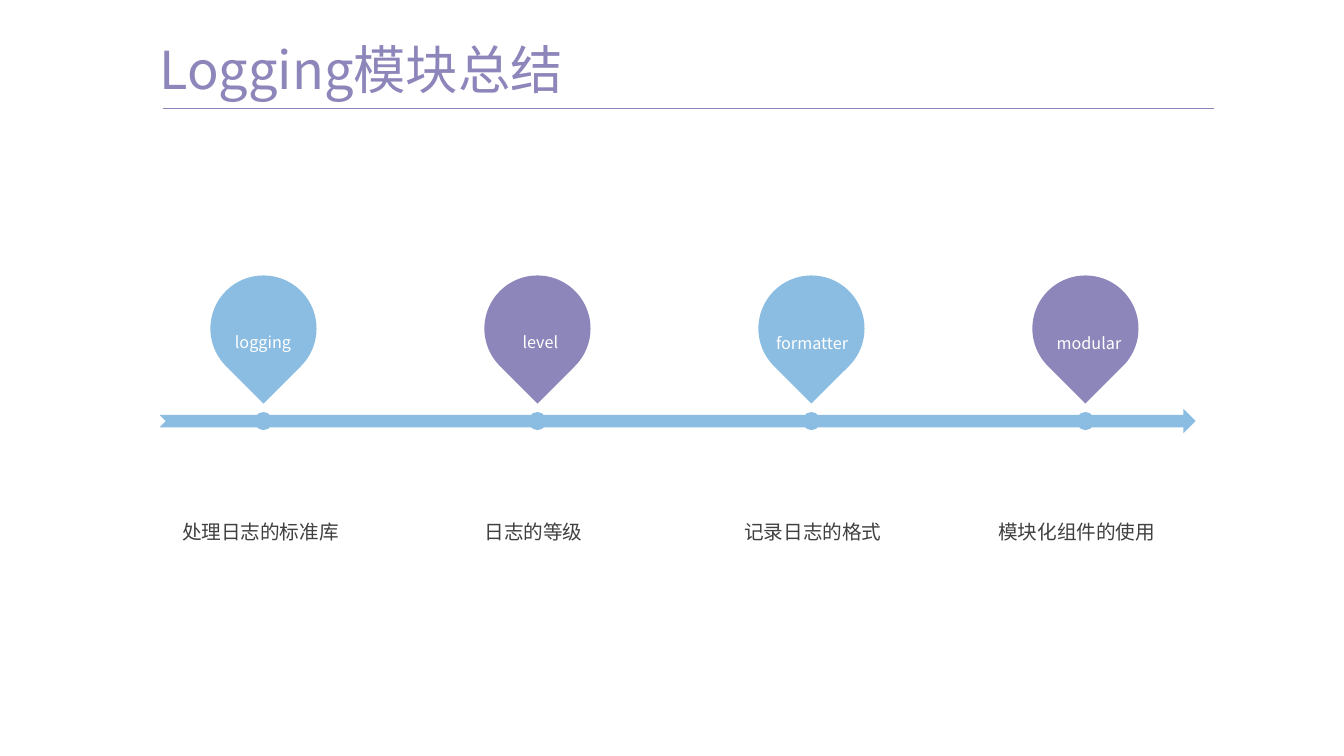
"""Build the logging module summary slide: four pins on a timeline arrow."""
from lxml import etree
from pptx import Presentation
from pptx.dml.color import RGBColor
from pptx.enum import shapes, text
from pptx.oxml import ns
from pptx.util import Cm, Pt

PURPLE = RGBColor(0x8D, 0x86, 0xBA)
BLUE = RGBColor(0x8B, 0xBD, 0xE2)
GREY = RGBColor(0x40, 0x40, 0x40)
WHITE = RGBColor(0xFF, 0xFF, 0xFF)
FONT = "Noto Sans CJK SC"

HEADING = "Logging模块总结"
# label, its left, top and width in cm, pin colour, caption, caption left in cm
STEPS = [
    ("logging", 5.21, 8.2, 3.56, BLUE, "处理日志的标准库", 4.09),
    ("level", 12.85, 8.18, 3.02, PURPLE, "日志的等级", 11.35),
    ("formatter", 19.99, 8.23, 3.18, BLUE, "记录日志的格式", 18.77),
    ("modular", 26.47, 8.23, 4.93, PURPLE, "模块化组件的使用", 25.78),
]
FIRST_CENTER, PITCH = 7.0, 7.28
AXIS_Y, AXIS_HEIGHT = 11.19, 0.66
PIN_SIZE, PIN_TOP, DOT_SIZE = 2.82, 7.32, 0.48


def style(paragraph, size, color, spacing, align):
    """Format a whole paragraph, with the font for both scripts."""
    paragraph.alignment = align
    paragraph.line_spacing = spacing
    font = paragraph.font
    font.size, font.name = Pt(size), FONT
    font.color.rgb = color
    props = paragraph._p.pPr.find(ns.qn("a:defRPr"))
    east_asian = etree.Element(ns.qn("a:ea"), typeface=FONT)
    props.find(ns.qn("a:latin")).addnext(east_asian)
    return props


def add_flat(parent, kind, left, top, width, height, color):
    """Add a borderless filled shape, measured in cm."""
    shape = parent.add_shape(kind, Cm(left), Cm(top), Cm(width), Cm(height))
    shape.shadow.inherit = False
    shape.fill.solid()
    shape.fill.fore_color.rgb = color
    shape.line.fill.background()
    return shape


def add_words(parent, words, left, top, width, height, size, color, spacing):
    """Add a centred text box, measured in cm."""
    box = parent.add_textbox(Cm(left), Cm(top), Cm(width), Cm(height))
    frame = box.text_frame
    frame.word_wrap = True
    frame.text = words
    return style(frame.paragraphs[0], size, color, spacing, text.PP_ALIGN.CENTER)


def add_heading(slide):
    """Fill the title placeholder and underline it."""
    title = slide.shapes.title
    title.left, title.top, title.width, title.height = Cm(4.24), Cm(1.19), Cm(13), Cm(1.68)
    frame = title.text_frame
    frame.text = HEADING
    frame.auto_size = text.MSO_AUTO_SIZE.NONE
    frame.vertical_anchor = text.MSO_ANCHOR.TOP
    frame.margin_left = frame.margin_right = frame.margin_top = frame.margin_bottom = 0
    style(frame.paragraphs[0], 39.4, PURPLE, 0.9, text.PP_ALIGN.LEFT)
    rule = slide.shapes.add_connector(
        shapes.MSO_CONNECTOR.STRAIGHT, Cm(4.32), Cm(2.87), Cm(32.26), Cm(2.87))
    rule.line.color.rgb = PURPLE
    rule.line.width = Pt(0.5)
    etree.SubElement(rule._element.spPr, ns.qn("a:effectLst"))


def add_step(slide, center, step):
    """Add one dot, pin, pin label and caption."""
    label, label_left, label_top, label_width, color, caption, caption_left = step
    add_flat(slide.shapes, shapes.MSO_SHAPE.OVAL, center - DOT_SIZE / 2,
             AXIS_Y - DOT_SIZE / 2, DOT_SIZE, DOT_SIZE, BLUE)
    marker = slide.shapes.add_group_shape().shapes
    pin = add_flat(marker, shapes.MSO_SHAPE.TEAR, center - PIN_SIZE / 2,
                   PIN_TOP, PIN_SIZE, PIN_SIZE, color)
    pin.rotation = 135
    label_props = add_words(marker, label, label_left, label_top, label_width,
                            0.91, 21.1, WHITE, 1.2)
    label_props.set("baseline", "-3000")
    add_words(slide.shapes, caption, caption_left, 13.51, 5.66, 1.02, 14.8, GREY, 1.3)


def main():
    """Assemble and save the slide."""
    deck = Presentation()
    deck.slide_width, deck.slide_height = Cm(35.71), Cm(20.09)
    slide = deck.slides.add_slide(deck.slide_layouts.get_by_name("Title Only"))
    add_heading(slide)
    add_flat(slide.shapes, shapes.MSO_SHAPE.NOTCHED_RIGHT_ARROW, 4.24,
             AXIS_Y - AXIS_HEIGHT / 2, 27.53, AXIS_HEIGHT, BLUE)
    for index, step in enumerate(STEPS):
        add_step(slide, FIRST_CENTER + index * PITCH, step)
    deck.save("out.pptx")


if __name__ == "__main__":
    main()
